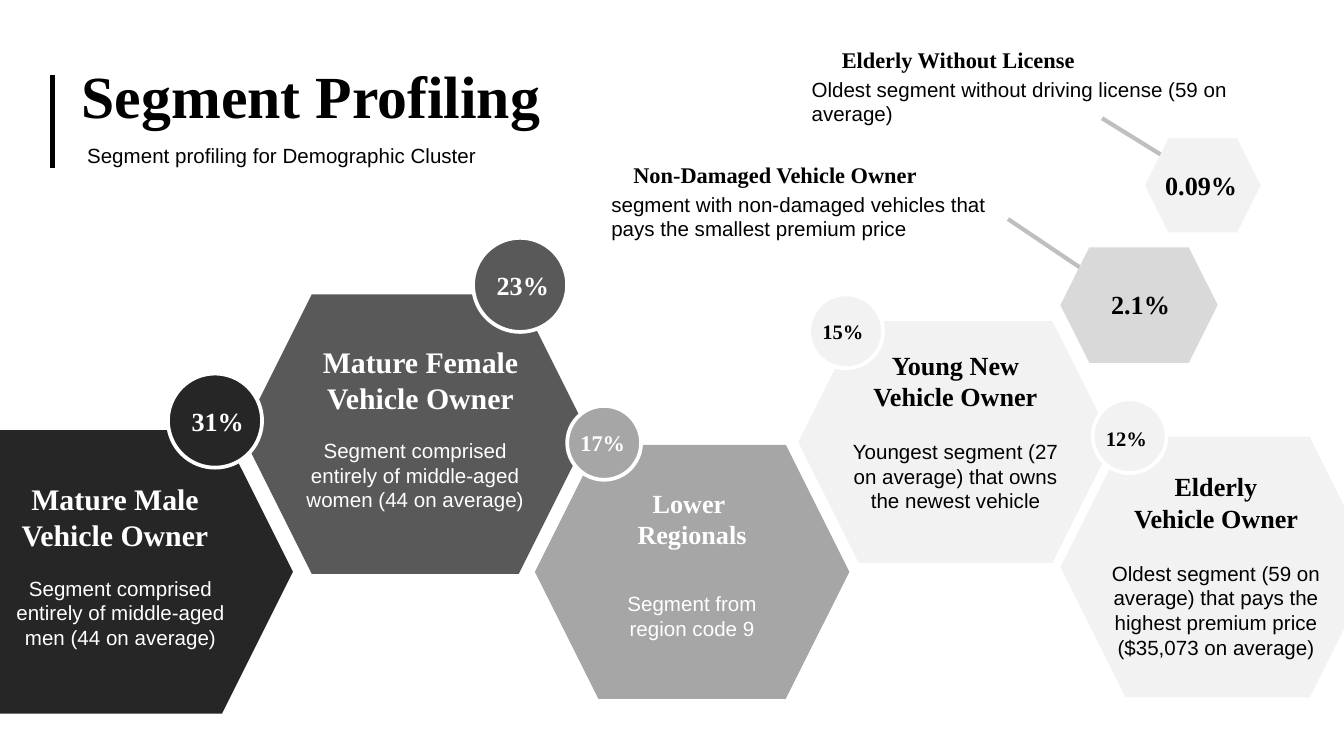
from pptx import Presentation
from pptx.dml.color import RGBColor as Rgb
from pptx.enum.shapes import MSO_CONNECTOR as Con, MSO_SHAPE as Geo
from pptx.enum.text import MSO_ANCHOR as Anc, MSO_AUTO_SIZE as Fit, PP_ALIGN as Al
from pptx.oxml.ns import qn
from pptx.util import Inches, Pt
from lxml.etree import SubElement as Sub

COLS, ROWS = 100, 56.25
UNIT = Inches(0.1)


class Theme:
    black, white = "000000", "FFFFFF"
    coal, slate, gray = "262626", "595959", "A6A6A6"
    rule, silver, pale = "BFBFBF", "D9D9D9", "F2F2F2"
    serif, sans = "Times New Roman", "Arial"
    title, big, mid, note, small = 32, 16, 14, 12, 11
    bar, link, ring = 3, 2.25, 2


def head(size):
    return dict(name=Theme.serif, size=Pt(size), bold=True)


BODY = dict(name=Theme.sans, size=Pt(Theme.small), bold=False)


def part(box, share):
    x, y, w, h = box
    a, b, c, d = share
    return x + a * w, y + b * h, c * w, d * h


def emu(nums):
    return [round(n * UNIT) for n in nums]


def words(host, box, text, form, ink=Theme.black, align=Al.LEFT):
    frame = host.shapes.add_textbox(*emu(box)).text_frame
    body = form is BODY
    look = dict(
        word_wrap=True,
        auto_size=Fit.SHAPE_TO_FIT_TEXT if body else Fit.NONE,
        vertical_anchor=Anc.TOP if body else Anc.MIDDLE,
        text=text,
    )
    for key, val in look.items():
        setattr(frame, key, val)
    for para in frame.paragraphs:
        para.alignment = align
        for run in para.runs:
            for key, val in form.items():
                setattr(run.font, key, val)
            run.font.color.rgb = Rgb.from_string(ink)


def solid(host, kind, box, fill, ring=False):
    shape = host.shapes.add_shape(kind, *emu(box))
    shape.shadow.inherit = False
    shape.fill.solid()
    shape.fill.fore_color.rgb = Rgb.from_string(fill)
    if ring:
        shape.line.color.rgb = Rgb.from_string(Theme.white)
        shape.line.width = Pt(Theme.ring)
    else:
        shape.line.fill.background()


def stroke(host, ends, color, width):
    line = host.shapes.add_connector(Con.STRAIGHT, *emu(ends))
    line.line.color.rgb = Rgb.from_string(color)
    line.line.width = Pt(width)
    Sub(line._element.spPr, qn("a:effectLst"))


def header(slide, box):
    x, y, w, h = box
    stroke(slide, (x, y, x, y + h), Theme.black, Theme.bar)
    words(slide, part(box, (0.03, -0.47, 2.25, 1.36)), "Segment Profiling",
          head(Theme.title))
    words(slide, part(box, (0.04, 0.66, 0.94, 0.42)),
          "Segment profiling for Demographic Cluster", BODY)


def segment(slide, box, fill, ink, size, name, top, text, low):
    group = slide.shapes.add_group_shape()
    solid(group, Geo.HEXAGON, box, fill)
    words(group, part(box, top), name, head(size), ink, Al.CENTER)
    words(group, part(box, low), text, BODY, ink, Al.CENTER)


def badge(slide, box, fill, ink, size, text, share):
    group = slide.shapes.add_group_shape()
    solid(group, Geo.OVAL, box, fill, True)
    words(group, part(box, share), text, head(size), ink)


def cell(slide, box, fill, text, share):
    solid(slide, Geo.HEXAGON, box, fill)
    words(slide, part(box, share), text, head(Theme.mid), align=Al.CENTER)


def note(slide, box, inset, name, text):
    words(slide, part(box, (inset, 0, 0.92, 0.65)), name, head(Theme.note))
    words(slide, part(box, (0, 0.42, 1, 0.58)), text, BODY)


def main():
    t = Theme
    deck = Presentation()
    deck.slide_width, deck.slide_height = emu((COLS, ROWS))
    slide = deck.slides.add_slide(deck.slide_layouts[6])

    for ends in ((82, 8.8, 88.3, 12.7), (75, 16.3, 80.5, 20)):
        stroke(slide, ends, t.rule, t.link)
    header(slide, (3.9, 5.6, 40, 6.9))

    segments = (
        ((78.9, 32.5, 23.4, 19.4), t.pale, t.black, t.mid,
         "Elderly \nVehicle Owner ", (0.07, 0.1, 0.87, 0.3),
         "Oldest segment (59 on average) that pays the highest premium price "
         "($35,073 on average)", (0.1, 0.45, 0.79, 0.43)),
        ((59.4, 23.9, 23.4, 18), t.pale, t.black, t.mid,
         "Young New Vehicle Owner", (0.13, 0.1, 0.74, 0.29),
         "Youngest segment (27 on average) that owns the newest vehicle",
         (0.1, 0.46, 0.8, 0.37)),
        ((18, 21.9, 25.8, 20.8), t.slate, t.white, t.big,
         "Mature Female Vehicle Owner", (0.18, 0.17, 0.67, 0.27),
         "Segment comprised entirely of middle-aged women (44 on average)",
         (0.12, 0.49, 0.76, 0.32)),
        ((-5.5, 32, 27.3, 21.1), t.coal, t.white, t.big,
         "Mature Male Vehicle Owner", (0.2, 0.18, 0.63, 0.25),
         "Segment comprised entirely of middle-aged men (44 on average)",
         (0.2, 0.49, 0.66, 0.31)),
        ((39.8, 33.1, 23.4, 18.9), t.gray, t.white, t.mid,
         "Lower \nRegionals", (0.13, 0.15, 0.74, 0.28),
         "Segment from region code 9", (0.2, 0.55, 0.6, 0.25)),
    )
    for row in segments:
        segment(slide, *row)

    cells = (
        ((78.9, 18.4, 11.7, 8.6), t.silver, "2.1%", (-0.12, 0, 1.26, 0.98)),
        ((85.2, 10.3, 8.6, 7), t.pale, "0.09%", (-0.37, -0.1, 1.71, 1.2)),
    )
    for row in cells:
        cell(slide, *row)

    notes = (
        ((59.4, 1.8, 37.5, 8.1), 0.06, "Elderly Without License",
         "Oldest segment without driving license (59 on average)"),
        ((44.5, 10.4, 32.8, 8), 0.05, "Non-Damaged Vehicle Owner",
         "segment with non-damaged vehicles that pays the smallest premium price"),
    )
    for row in notes:
        note(slide, *row)

    wide, near, tall = (0.11, 0.11, 0.9, 0.79), (0, 0, 1.15, 1), (0, 0, 1, 1.07)
    badges = (
        (12.5, 27.8, 7, t.coal, t.white, t.mid, "31%", wide),
        (35.2, 17.7, 7, t.slate, t.white, t.mid, "23%", wide),
        (42.2, 30.2, 5.5, t.gray, t.white, t.note, "17%", near),
        (60.2, 21.9, 5.5, t.pale, t.black, t.small, "15%", near),
        (81.3, 29.7, 5.5, t.pale, t.black, t.small, "12%", tall),
    )
    for x, y, side, *rest in badges:
        badge(slide, (x, y, side, side), *rest)

    deck.save("out.pptx")


if __name__ == "__main__":
    main()
